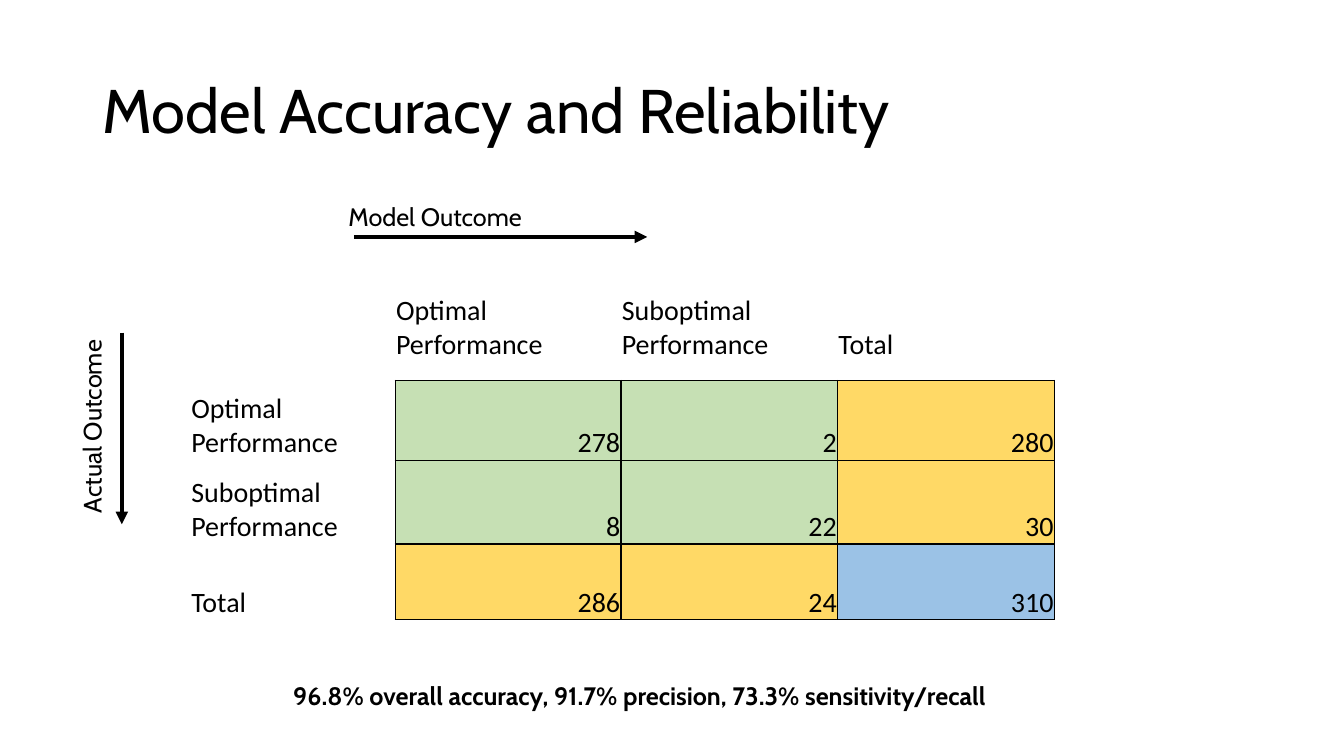
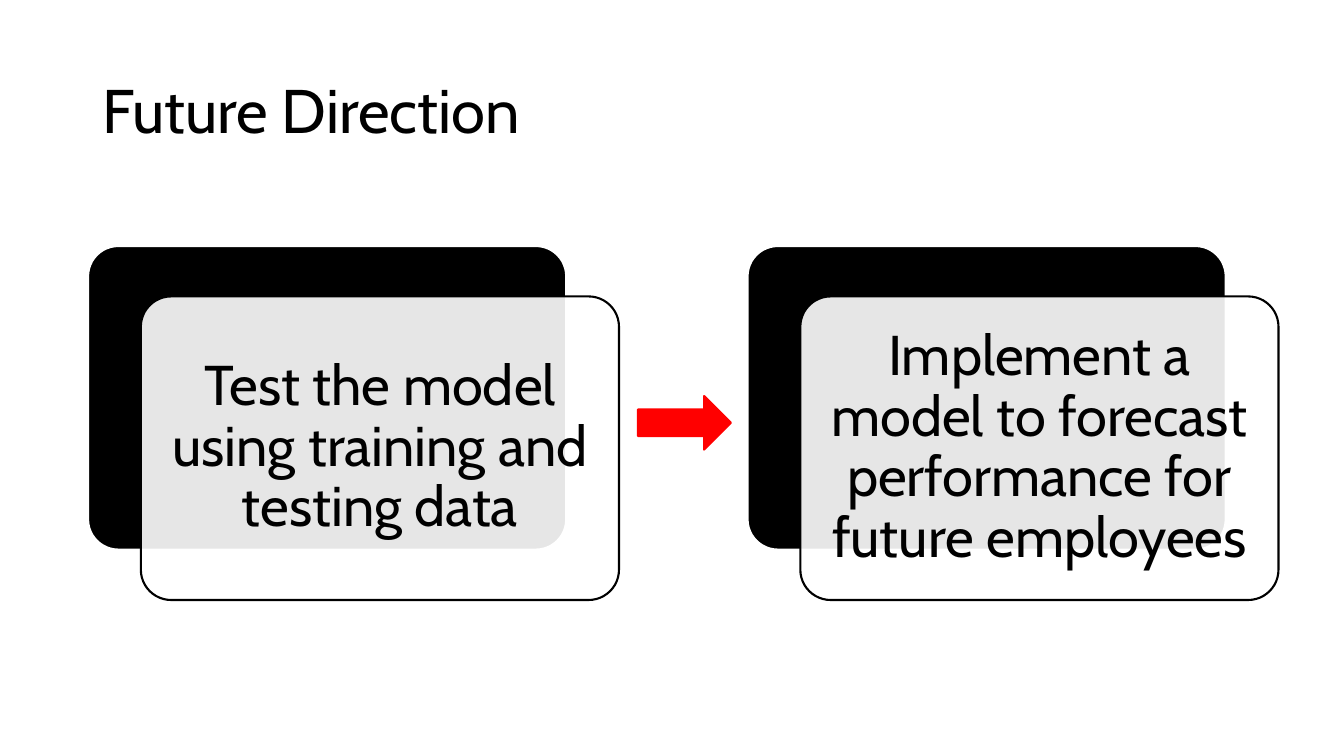
from lxml import etree
from pptx import Presentation
from pptx import util as u
from pptx.dml.color import RGBColor
from pptx.enum import shapes, text
from pptx.oxml import ns

# Content
MATRIX_TITLE = "Model Accuracy and Reliability"
MATRIX = [
    ["", "Optimal Performance", "Suboptimal Performance", "Total"],
    ["Optimal Performance", "278", "2", "280"],
    ["Suboptimal Performance", "8", "22", "30"],
    ["Total", "286", "24", "310"],
]
COLUMN_AXIS = "Model Outcome"
ROW_AXIS = "Actual Outcome"
SUMMARY = "96.8% overall accuracy, 91.7% precision, 73.3% sensitivity/recall"

STEPS_TITLE = "Future Direction"
STEPS = [
    "Test the model using training and testing data",
    "Implement a model to forecast performance for future employees",
]

# Shared style
COLORS = {"black": "000000", "white": "FFFFFF", "outcome": "C6E0B4",
          "subtotal": "FFD966", "total": "9BC2E6", "arrow": "FF0000"}
FONT, TABLE_FONT = "Cabin", "Calibri"
SLIDE_SIZE = (33.87, 19.05)
TITLE_BOX = (2.33, 1.02, 29.21, 3.68)

# Table layout
TABLE_LEFT, TABLE_TOP = 4.8, 7.37
COL_WIDTHS = [5.16, 5.69, 5.46, 5.46]
ROW_HEIGHTS = [2.22, 2.01, 2.11, 1.91]
HEADER_GAP = 0.47

# Card layout
CARD_LEFT, CARD_TOP, CARD_STEP = 2.22, 6.2, 16.62
CARD_SIZE = (12.05, 7.65)
CARD_SHIFT = (1.33, 1.27)
CARD_INSET = 0.43
STEP_ARROW = (16.08, 9.98, 2.34, 1.35)


def color(name):
    return RGBColor.from_string(COLORS[name])


def cm(values):
    return [u.Cm(v) for v in values]


def sub(parent, tag, **attrs):
    return etree.SubElement(parent, ns.qn(tag), attrs)


def write(tf, words, size, font=FONT, bold=False,
          align=text.PP_ALIGN.LEFT, spacing=None):
    p = tf.paragraphs[0]
    p.alignment = align
    if spacing:
        p.line_spacing = spacing
    r = p.add_run()
    r.text = words
    r.font.name, r.font.size, r.font.bold = font, u.Pt(size), bold
    r.font.color.rgb = color("black")


def add_text(s, box, words, size, **style):
    tf = s.shapes.add_textbox(*cm(box)).text_frame
    tf.word_wrap = True
    write(tf, words, size, **style)
    return tf


def add_slide(prs, title):
    s = prs.slides.add_slide(prs.slide_layouts[6])
    tf = add_text(s, TITLE_BOX, title, 44, spacing=0.9)
    tf.vertical_anchor = text.MSO_ANCHOR.MIDDLE
    return s


def add_arrow(s, x1, y1, x2, y2):
    sp = s.shapes.add_connector(shapes.MSO_CONNECTOR.STRAIGHT,
                                *cm((x1, y1, x2, y2)))
    sp.line.color.rgb = color("black")
    sp.line.width = u.Pt(3)
    sub(sp.line._get_or_add_ln(), "a:tailEnd", type="triangle")
    sub(sp._element.spPr, "a:effectLst")


def add_shape(s, kind, box, fill, line):
    sp = s.shapes.add_shape(kind, *cm(box))
    sp.shadow.inherit = False
    sp.fill.solid()
    sp.fill.fore_color.rgb = color(fill)
    sp.line.color.rgb = color(line)
    sp.line.width = u.Pt(1.5)
    return sp


def add_borders(cell, row, col):
    # Only the numeric block is ruled; its neighbours share the edges
    inside = row > 0 and col > 0
    edges = {"a:lnL": inside, "a:lnR": row > 0,
             "a:lnT": inside, "a:lnB": col > 0}
    tc_pr = cell._tc.get_or_add_tcPr()
    for tag, ruled in edges.items():
        ln = sub(tc_pr, tag, w=str(u.Pt(1)))
        if ruled:
            sub(sub(ln, "a:solidFill"), "a:srgbClr", val=COLORS["black"])
        else:
            sub(ln, "a:noFill")


def cell_fill(row, col):
    if row == 0 or col == 0:
        return None
    totals = (row == len(MATRIX) - 1) + (col == len(MATRIX[0]) - 1)
    return ("outcome", "subtotal", "total")[totals]


def add_matrix(s):
    box = (TABLE_LEFT, TABLE_TOP, sum(COL_WIDTHS), sum(ROW_HEIGHTS))
    table = s.shapes.add_table(len(MATRIX), len(MATRIX[0]), *cm(box)).table
    table.first_row = table.horz_banding = False
    for column, width in zip(table.columns, COL_WIDTHS):
        column.width = u.Cm(width)
    for row, height in zip(table.rows, ROW_HEIGHTS):
        row.height = u.Cm(height)
    for i, values in enumerate(MATRIX):
        for j, value in enumerate(values):
            cell = table.cell(i, j)
            cell.vertical_anchor = text.MSO_ANCHOR.BOTTOM
            cell.margin_left = cell.margin_right = cell.margin_top = u.Cm(0.02)
            cell.margin_bottom = u.Cm(0 if i else HEADER_GAP)
            add_borders(cell, i, j)
            fill = cell_fill(i, j)
            if fill:
                cell.fill.solid()
                cell.fill.fore_color.rgb = color(fill)
            else:
                cell.fill.background()
            if value:
                align = text.PP_ALIGN.RIGHT if fill else text.PP_ALIGN.LEFT
                write(cell.text_frame, value, 20, TABLE_FONT, align=align)


def add_card(s, left, words):
    kind = shapes.MSO_SHAPE.ROUNDED_RECTANGLE
    back = add_shape(s, kind, (left, CARD_TOP, *CARD_SIZE), "black", "white")
    dx, dy = CARD_SHIFT
    front = add_shape(s, kind, (left + dx, CARD_TOP + dy, *CARD_SIZE),
                      "white", "black")
    for sp in (back, front):
        sp.adjustments[0] = 0.1
    fill = front._element.spPr.find(ns.qn("a:solidFill"))
    sub(fill[0], "a:alpha", val="90000")
    tf = front.text_frame
    tf.word_wrap = True
    tf.vertical_anchor = text.MSO_ANCHOR.MIDDLE
    tf.margin_left = tf.margin_right = u.Cm(CARD_INSET)
    tf.margin_top = tf.margin_bottom = u.Cm(CARD_INSET)
    write(tf, words, 40, align=text.PP_ALIGN.CENTER, spacing=0.9)


def build_matrix_slide(prs):
    s = add_slide(prs, MATRIX_TITLE)
    add_matrix(s)
    # Axis labels and arrows
    add_arrow(s, 3.07, 8.38, 3.07, 13.21)
    add_arrow(s, 8.92, 5.97, 16.31, 5.97)
    add_text(s, (8.53, 4.95, 5.2, 1.02), COLUMN_AXIS, 18)
    tf = add_text(s, (1.8, 7.98, 1.02, 5.2), ROW_AXIS, 18)
    tf._txBody.bodyPr.set("vert", "vert270")
    # Summary
    add_text(s, (7.14, 17.02, 19.58, 1.02), SUMMARY, 18, bold=True)


def build_steps_slide(prs):
    s = add_slide(prs, STEPS_TITLE)
    for i, words in enumerate(STEPS):
        add_card(s, CARD_LEFT + i * CARD_STEP, words)
    add_shape(s, shapes.MSO_SHAPE.RIGHT_ARROW, STEP_ARROW, "arrow", "arrow")


def main():
    prs = Presentation()
    prs.slide_width, prs.slide_height = cm(SLIDE_SIZE)
    build_matrix_slide(prs)
    build_steps_slide(prs)
    prs.save("out.pptx")


if __name__ == "__main__":
    main()
